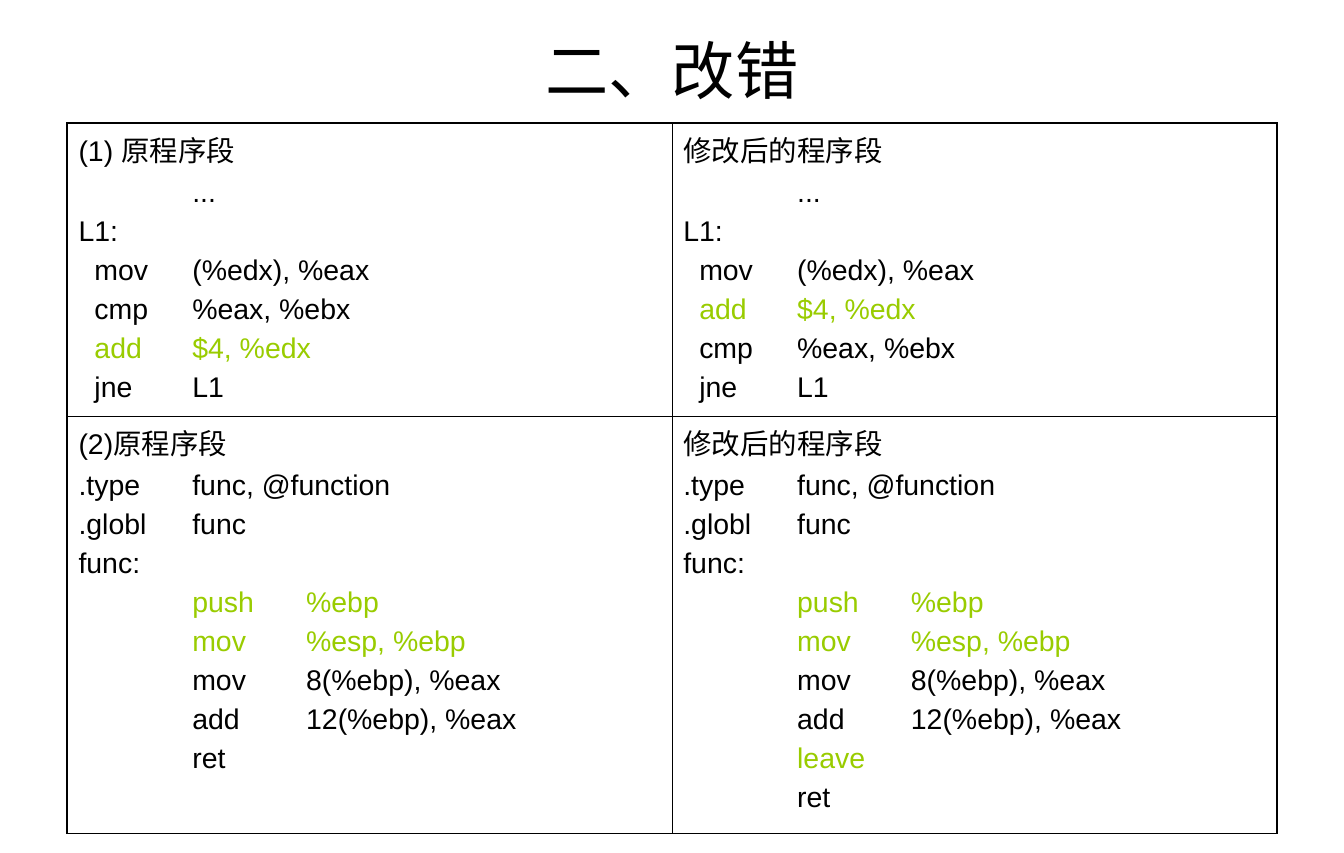
from dataclasses import dataclass

from lxml import etree
from pptx import Presentation
from pptx import util as u
from pptx.dml.color import RGBColor
from pptx.enum import text
from pptx.oxml import ns


@dataclass(frozen=True)
class Theme:
    """Colours, type sizes and line widths of the slide."""
    font: str = "Arial"
    ink: str = "000000"
    fix: str = "99CC00"
    title_size: float = 40
    code_size: float = 18
    code_gap: float = 4.5
    outer_line: float = 1.08
    inner_line: float = 0.45


@dataclass(frozen=True)
class Listing:
    """A program listing with the indices of its highlighted lines."""
    lines: tuple
    fixes: tuple


THEME = Theme()
OPCODE_STOPS = (0.14, 1, 2)
DIRECTIVE_STOPS = (1, 2)
ROW_HEIGHTS = (2.58, 3.67)
ROW_STOPS = (OPCODE_STOPS, DIRECTIVE_STOPS)

LOOP_START = ("\t\t...", "L1:", "\tmov\t(%edx), %eax")
COMPARE = "\tcmp\t%eax, %ebx"
ADVANCE = "\tadd\t$4, %edx"
JUMP = "\tjne\tL1"
FUNCTION = (
    ".type\tfunc, @function", ".globl\tfunc", "func:",
    "\tpush\t%ebp", "\tmov\t%esp, %ebp",
    "\tmov\t8(%ebp), %eax", "\tadd\t12(%ebp), %eax",
)
LISTINGS = (
    (Listing(("(1) 原程序段", *LOOP_START, COMPARE, ADVANCE, JUMP), (5,)),
     Listing(("修改后的程序段", *LOOP_START, ADVANCE, COMPARE, JUMP), (4,))),
    (Listing(("(2)原程序段", *FUNCTION, "\tret"), (4, 5)),
     Listing(("修改后的程序段", *FUNCTION, "\tleave", "\tret"), (4, 5, 8))),
)


def style(paragraph, size, colour):
    """Set the font of a whole paragraph."""
    paragraph.font.name = THEME.font
    paragraph.font.size = u.Pt(size)
    paragraph.font.color.rgb = RGBColor.from_string(colour)


def set_tab_stops(paragraph, stops):
    """Give a paragraph left tab stops, in inches."""
    properties = paragraph._p.get_or_add_pPr()
    tab_list = etree.Element(ns.qn("a:tabLst"))
    for stop in stops:
        etree.SubElement(tab_list, ns.qn("a:tab"), pos=str(u.Inches(stop)), algn="l")
    properties.find(ns.qn("a:defRPr")).addprevious(tab_list)


def set_borders(cell, widths):
    """Draw the left, right, top and bottom borders of a cell."""
    properties = cell._tc.get_or_add_tcPr()
    for position, (side, width) in enumerate(zip("LRTB", widths)):
        line = etree.Element(ns.qn(f"a:ln{side}"), w=str(u.Pt(width)))
        fill = etree.SubElement(line, ns.qn("a:solidFill"))
        etree.SubElement(fill, ns.qn("a:srgbClr"), val=THEME.ink)
        properties.insert(position, line)


def add_title(slide, left, top, width, height):
    """Place the centred heading in its box."""
    heading = slide.shapes.add_textbox(left, top, width, height).text_frame
    heading.word_wrap = True
    heading.vertical_anchor = text.MSO_ANCHOR.MIDDLE
    line = heading.paragraphs[0]
    line.text = "二、改错"
    line.alignment = text.PP_ALIGN.CENTER
    style(line, THEME.title_size, THEME.ink)


def fill_listing(cell, listing, stops):
    """Write a program listing into a cell, one paragraph a line."""
    frame = cell.text_frame
    for index, code in enumerate(listing.lines):
        line = frame.add_paragraph() if index else frame.paragraphs[0]
        line.text = code
        line.space_before = u.Pt(THEME.code_gap)
        style(line, THEME.code_size, THEME.fix if index in listing.fixes else THEME.ink)
        set_tab_stops(line, stops)


def add_comparison(slide, left, top, width, height):
    """Place the table of faulty and corrected programs in its box."""
    rows, columns = len(LISTINGS), len(LISTINGS[0])
    table = slide.shapes.add_table(rows, columns, left, top, width, height).table
    table.first_row = table.horz_banding = False
    for column in table.columns:
        column.width = width // columns
    for r, programs in enumerate(LISTINGS):
        table.rows[r].height = u.Inches(ROW_HEIGHTS[r])
        for c, listing in enumerate(programs):
            cell = table.cell(r, c)
            cell.fill.background()
            on_edge = (c == 0, c == columns - 1, r == 0, r == rows - 1)
            set_borders(cell, [THEME.outer_line if edge else THEME.inner_line
                               for edge in on_edge])
            fill_listing(cell, listing, ROW_STOPS[r])


def main():
    """Build the slide and save it."""
    deck = Presentation()
    deck.slide_width = u.Cm(30)
    deck.slide_height = u.Inches(7.5)
    slide = deck.slides.add_slide(deck.slide_layouts[6])
    left, width = u.Inches(0.59), u.Inches(10.63)
    add_title(slide, left, u.Inches(0.3), width, u.Inches(0.61))
    add_comparison(slide, left, u.Inches(1.08), width, u.Inches(sum(ROW_HEIGHTS)))
    deck.save("out.pptx")


if __name__ == "__main__":
    main()
